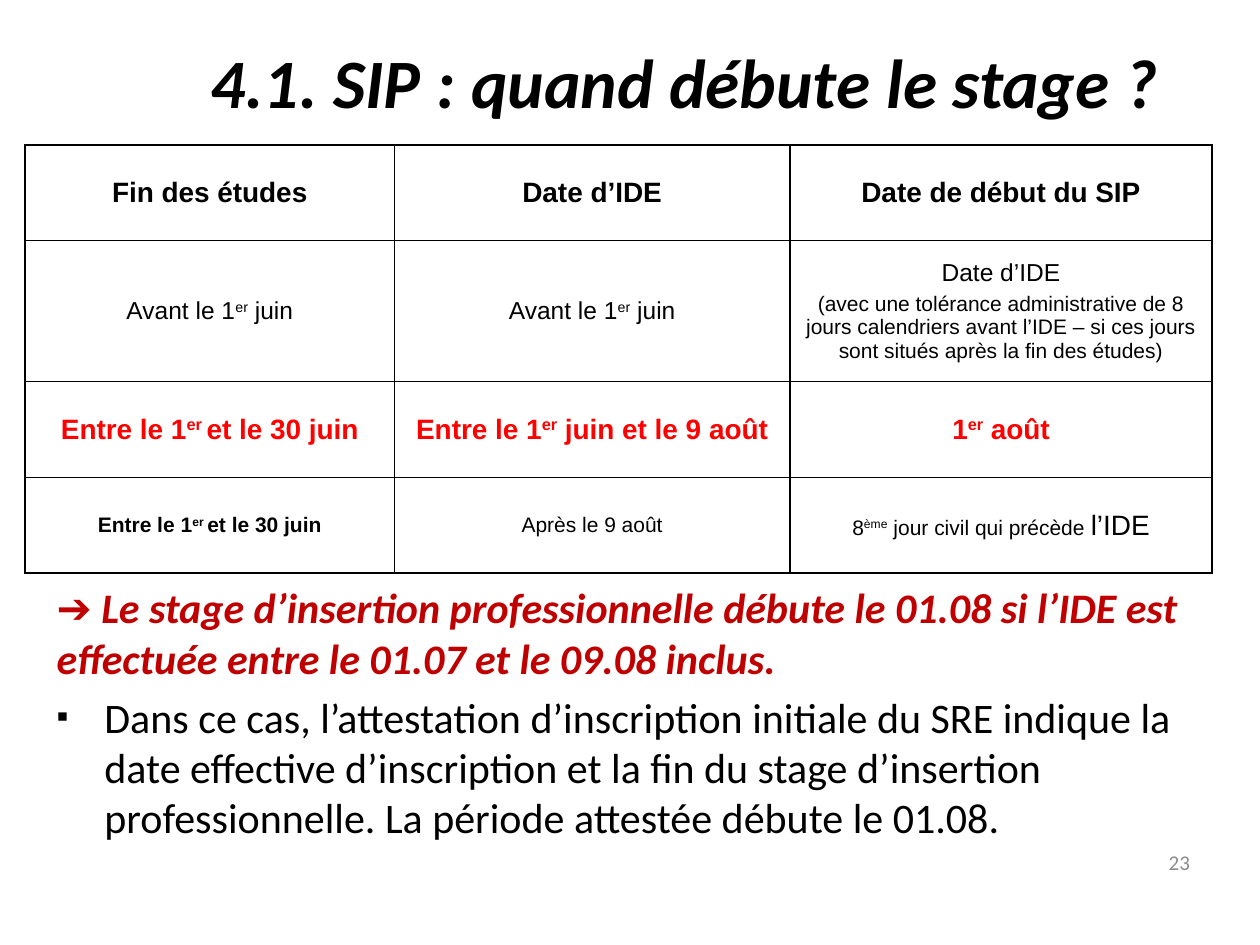
import pptx
import pptx.dml.color
import pptx.enum.text
import pptx.oxml.ns
import pptx.util
from lxml import etree

Inches = pptx.util.Inches
Pt = pptx.util.Pt
RGBColor = pptx.dml.color.RGBColor
PP_ALIGN = pptx.enum.text.PP_ALIGN
MSO_ANCHOR = pptx.enum.text.MSO_ANCHOR
qn = pptx.oxml.ns.qn

BLACK = RGBColor(0, 0, 0)
RED = RGBColor(0xFF, 0, 0)
DARK_RED = RGBColor(0xC0, 0, 0)
GREY = RGBColor(0x8C, 0x8C, 0x8C)

COL_WIDTHS = [2.93, 3.14, 3.35]
ROW_HEIGHTS = [0.76, 1.12, 0.76, 0.76]

# Each row: colour, then cells; a cell is a list of paragraphs,
# a paragraph a list of (text, size, bold), with ^...^ for superscript
ROWS = [
    (BLACK, [[[("Fin des études", 16, True)]],
             [[("Date d’IDE", 16, True)]],
             [[("Date de début du SIP", 16, True)]]]),
    (BLACK, [[[("Avant le 1^er^ juin", 14, False)]],
             [[("Avant le 1^er^ juin", 14, False)]],
             [[("Date d’IDE", 14, False)],
              [("(avec une tolérance administrative de 8 jours calendriers "
                "avant l’IDE – si ces jours sont situés après la fin des "
                "études)", 12, False)]]]),
    (RED, [[[("Entre le 1^er ^et le 30 juin", 16, True)]],
           [[("Entre le 1^er^ juin et le 9 août", 16, True)]],
           [[("1^er^ août", 16, True)]]]),
    (BLACK, [[[("Entre le 1^er ^et le 30 juin", 12, True)]],
             [[("Après le 9 août", 12, False)]],
             [[("8^ème^ jour civil qui précède ", 12, False),
               ("l’IDE", 16, False)]]]),
]


def add_run(p, text, size, color, name="Calibri", bold=False, italic=False):
    r = p.add_run()
    r.text = text
    f = r.font
    f.size, f.name, f.bold, f.italic = Pt(size), name, bold, italic
    f.color.rgb = color
    return r


def add_box(s, box, anchor=MSO_ANCHOR.TOP):
    tf = s.shapes.add_textbox(*map(Inches, box)).text_frame
    tf.word_wrap = True
    tf.vertical_anchor = anchor
    return tf


def add_line(s, box, text, size, color, align, **style):
    """One line of text, centred vertically in its box."""
    p = add_box(s, box, MSO_ANCHOR.MIDDLE).paragraphs[0]
    p.alignment = align
    add_run(p, text, size, color, **style)


def set_borders(cell):
    tcPr = cell._tc.get_or_add_tcPr()
    for i, side in enumerate(("lnL", "lnR", "lnT", "lnB")):
        ln = etree.Element(qn("a:" + side), w=str(Pt(1)))
        fill = etree.SubElement(ln, qn("a:solidFill"))
        etree.SubElement(fill, qn("a:srgbClr"), val=str(BLACK))
        tcPr.insert(i, ln)


def fill_cell(cell, paragraphs, color):
    cell.fill.background()
    set_borders(cell)
    cell.vertical_anchor = MSO_ANCHOR.MIDDLE
    cell.margin_left = cell.margin_right = Inches(0.05)
    cell.margin_top = cell.margin_bottom = 0
    tf = cell.text_frame
    for i, parts in enumerate(paragraphs):
        p = tf.add_paragraph() if i else tf.paragraphs[0]
        p.alignment = PP_ALIGN.CENTER
        p.space_before = Pt(1 if i else 0)
        p.space_after = Pt(2)
        for text, size, bold in parts:
            for j, piece in enumerate(text.split("^")):
                r = add_run(p, piece, size, color, "Arial", bold)
                if j % 2:
                    r.font._element.set("baseline", "30000")


def add_dates_table(s, box):
    table = s.shapes.add_table(len(ROWS), len(COL_WIDTHS),
                               *map(Inches, box)).table
    table.first_row = table.horz_banding = False
    for col, width in zip(table.columns, COL_WIDTHS):
        col.width = Inches(width)
    for row, height, (color, cells) in zip(table.rows, ROW_HEIGHTS, ROWS):
        row.height = Inches(height)
        for cell, paragraphs in zip(row.cells, cells):
            fill_cell(cell, paragraphs, color)


def add_body(s, box):
    tf = add_box(s, box)
    # Conclusion
    add_run(tf.paragraphs[0],
            "➔ Le stage d’insertion professionnelle débute le 01.08 si l’IDE "
            "est effectuée entre le 01.07 et le 09.08 inclus.",
            24, DARK_RED, bold=True, italic=True)
    # Bulleted remark
    p = tf.add_paragraph()
    p.space_before = Pt(4.8)
    pPr = p._p.get_or_add_pPr()
    pPr.set("marL", str(Inches(0.38)))
    pPr.set("indent", str(Inches(-0.38)))
    etree.SubElement(pPr, qn("a:buSzPct"), val="80000")
    etree.SubElement(pPr, qn("a:buFont"), typeface="Arial")
    etree.SubElement(pPr, qn("a:buChar"), char="▪")
    add_run(p, "Dans ce cas, l’attestation d’inscription initiale du SRE "
               "indique la date effective d’inscription et la fin du stage "
               "d’insertion professionnelle. La période attestée débute le "
               "01.08.", 24, BLACK)


def main():
    prs = pptx.Presentation()
    prs.slide_width, prs.slide_height = Inches(10), Inches(7.5)
    s = prs.slides.add_slide(prs.slide_layouts[6])
    # Title
    add_line(s, (0.43, 0.21, 8.86, 0.87), "4.1. SIP : quand débute le stage ?",
             39.6, BLACK, PP_ALIGN.RIGHT, bold=True, italic=True)
    add_body(s, (0.35, 4.57, 9.45, 2.57))
    # Slide number
    add_line(s, (9.14, 6.64, 0.44, 0.4), "23", 12, GREY, PP_ALIGN.CENTER)
    add_dates_table(s, (0.2, 1.15, sum(COL_WIDTHS), sum(ROW_HEIGHTS)))
    prs.save("out.pptx")


if __name__ == "__main__":
    main()
